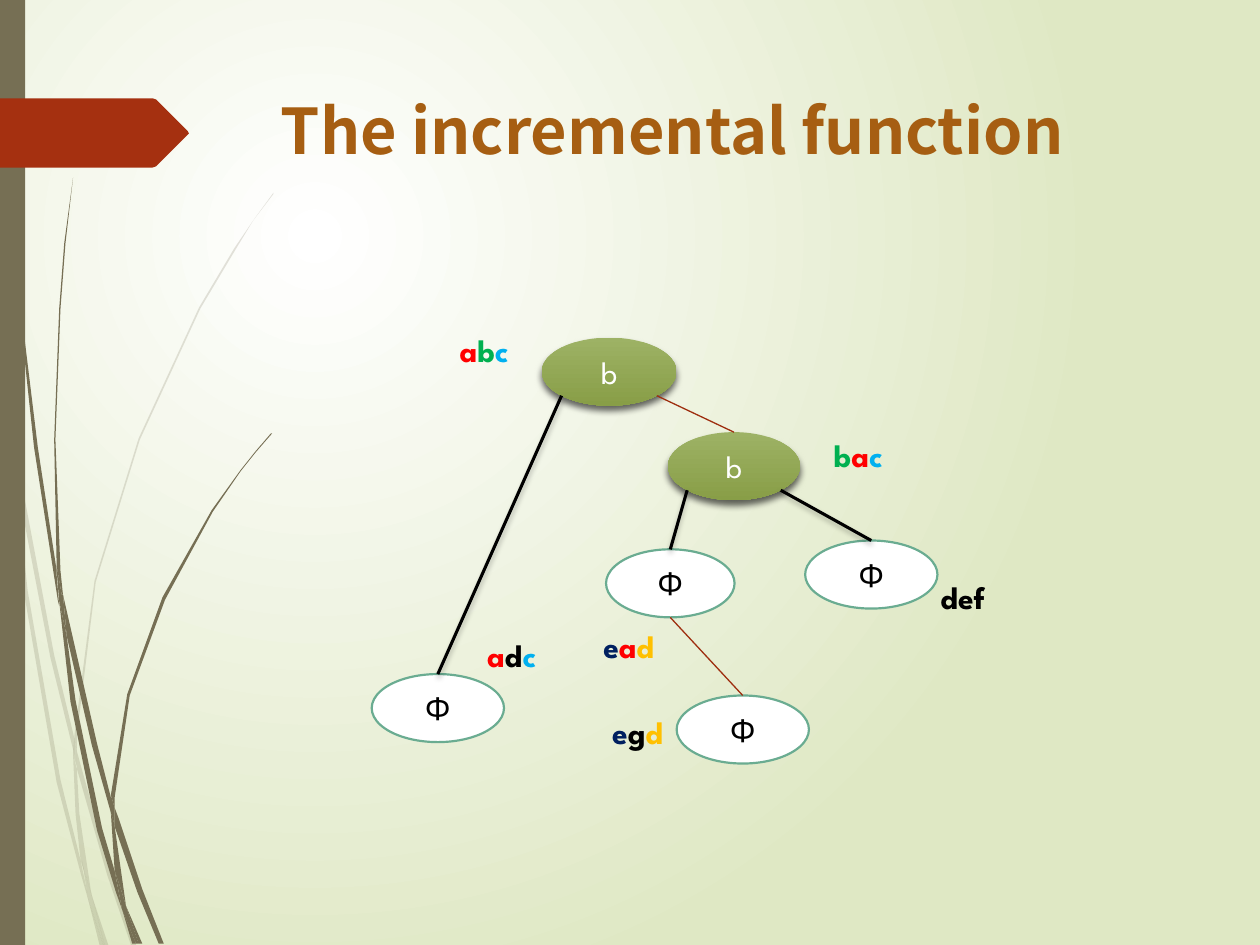
from math import sqrt
from lxml import etree
from pptx import Presentation
from pptx.dml.color import RGBColor as RGB
from pptx.enum.shapes import MSO_CONNECTOR, MSO_SHAPE as SHAPE
from pptx.enum.text import MSO_ANCHOR as ANCHOR, MSO_AUTO_SIZE as AUTO, PP_ALIGN as ALIGN
from pptx.oxml import parse_xml
from pptx.oxml.ns import nsdecls, qn
from pptx.util import Inches, Pt

BLACK, WHITE = RGB(0, 0, 0), RGB(255, 255, 255)
RED, GREEN, BLUE = RGB(0xFF, 0, 0), RGB(0, 0xB0, 0x50), RGB(0, 0xB0, 0xF0)
NAVY, GOLD = RGB(0, 0x20, 0x60), RGB(0xFF, 0xC0, 0)
OLIVE, RUST = RGB(0x76, 0x6F, 0x54), RGB(0xA5, 0x30, 0x10)
TITLE, LINK, TEAL = RGB(0xA6, 0x5E, 0x12), RGB(0x9E, 0x2E, 0x0F), RGB(0x6A, 0xAC, 0x91)
PALE = RGB(0xDF, 0xE8, 0xC4)
LEAF_TOP, LEAF_BOTTOM = RGB(0x9D, 0xB2, 0x65), RGB(0x88, 0x9E, 0x47)
HEAD_FONT, BODY_FONT = "Noto Sans CJK SC", "League Spartan"
NODE_H, LABEL_W, LABEL_H = 0.54, 0.78, 0.4

# Tree nodes: text, left, top, width
NODES = {
    "root": ("b", 4.3, 2.68, 1.07),
    "left": ("Φ", 2.95, 5.35, 1.05),
    "right": ("b", 5.3, 3.43, 1.05),
    "inner": ("Φ", 4.81, 4.36, 1.02),
    "outer": ("Φ", 6.39, 4.29, 1.05),
    "last": ("Φ", 5.37, 5.52, 1.05),
}
# Parent, side it leaves from (-1 left, 0 bottom, 1 right), child, heavy line
EDGES = [
    ("root", -1, "left", True), ("root", 1, "right", False),
    ("right", -1, "inner", True), ("right", 1, "outer", True),
    ("inner", 0, "last", False),
]
# Labels: left, top, coloured pieces
LABELS = [
    (3.45, 2.58, [("a", RED), ("b", GREEN), ("c", BLUE)]),
    (3.67, 5, [("a", RED), ("d", BLACK), ("c", BLUE)]),
    (4.6, 4.93, [("e", NAVY), ("a", RED), ("d", GOLD)]),
    (6.42, 3.41, [("b", GREEN), ("a", RED), ("c", BLUE)]),
    (4.67, 5.61, [("e", NAVY), ("g", BLACK), ("d", GOLD)]),
    (7.25, 4.54, [("def", BLACK)]),
]
# Grass blades: outlines in hundredths of an inch
FAINT_BLADES = [
    [(8, 350), (6, 322), (0, 282), (0, 299), (7, 344)],
    [(40, 522), (59, 599), (59, 586), (43, 520), (10, 345), (12, 376)],
    [(64, 607), (61, 596), (61, 610), (85, 694), (104, 750), (108, 750), (88, 692)],
    [(83, 750), (86, 750), (73, 711)],
    [(64, 683), (48, 619), (22, 469), (12, 376), (8, 350), (19, 470), (45, 621), (64, 693),
     (70, 714), (69, 707)],
    [(58, 599), (60, 646), (64, 683), (67, 692), (73, 711), (72, 706), (63, 646), (61, 610)],
    [(61, 584), (76, 462), (111, 349), (159, 245), (187, 198), (201, 175), (217, 154), (217, 153),
     (201, 175), (186, 197), (158, 244), (110, 348), (75, 461), (59, 584), (59, 586), (61, 596)],
    [(70, 714), (79, 750), (82, 750)],
    [(61, 608), (61, 596), (59, 586), (58, 599)],
    [(67, 692), (65, 683), (69, 707), (70, 714), (82, 750), (83, 750), (73, 711)],
]
SOLID_BLADES = [
    [(5, 110), (14, 233), (27, 355), (46, 477), (47, 481), (45, 457), (45, 453), (30, 355),
     (15, 232), (6, 109), (4, 48), (3, 0), (2, 0), (3, 48)],
    [(73, 592), (88, 645), (88, 633), (77, 590), (50, 472), (53, 505)],
    [(94, 649), (91, 641), (91, 656), (109, 708), (126, 749), (130, 749), (113, 706)],
    [(91, 691), (81, 657), (60, 556), (53, 505), (47, 477), (56, 557), (77, 659), (92, 708),
     (97, 722), (96, 717)],
    [(50, 472), (48, 453), (44, 349), (48, 245), (52, 193), (58, 141), (51, 193), (47, 245),
     (43, 349), (45, 449), (49, 472)],
    [(110, 749), (113, 749), (100, 719)],
    [(47, 477), (53, 505), (50, 472), (49, 472), (45, 449), (45, 453)],
    [(91, 633), (103, 552), (131, 476), (169, 406), (191, 374), (203, 359), (216, 344), (215, 344),
     (203, 358), (191, 373), (168, 405), (129, 474), (101, 551), (88, 631), (91, 641)],
    [(97, 722), (105, 749), (108, 749)],
    [(88, 645), (91, 691), (96, 706), (100, 719), (91, 656), (90, 651)],
    [(88, 645), (90, 651), (91, 656), (91, 641), (88, 631)],
    [(96, 706), (91, 691), (96, 717), (97, 722), (108, 749), (110, 749), (100, 719)],
]
BANNER = [(0, 78), (121, 78), (124, 79), (149, 104), (150, 106), (149, 107), (124, 132),
          (121, 133), (0, 133)]

prs = Presentation()
prs.slide_width, prs.slide_height = Inches(10), Inches(7.5)
s = prs.slides.add_slide(prs.slide_layouts[6])


def set_gradient(fill, first, last):
    fill.gradient()
    for stop, color in zip(fill.gradient_stops, (first, last)):
        stop.color.rgb = color


def add_shadow(effects, alpha, blur, dist):
    effects.append(parse_xml(
        f'<a:outerShdw {nsdecls("a")} blurRad="{Pt(blur)}" dist="{Pt(dist)}" dir="5400000" '
        f'rotWithShape="0"><a:srgbClr val="000000"><a:alpha val="{alpha * 1000}"/>'
        '</a:srgbClr></a:outerShdw>'))


def add_outline(points, color, alpha=None):
    builder = s.shapes.build_freeform(*points[0], scale=Inches(0.01))
    builder.add_line_segments(points[1:], close=True)
    sp = builder.convert_to_shape()
    paint(sp, color)
    if alpha:
        rgb = next(sp._element.spPr.iter(qn("a:srgbClr")))
        etree.SubElement(rgb, qn("a:alpha")).set("val", str(alpha * 1000))


def paint(sp, color):
    sp.fill.solid()
    sp.fill.fore_color.rgb = color
    sp.line.fill.background()
    sp.shadow.inherit = False


def add_text(x, y, w, h, pieces, font, size, align):
    tf = s.shapes.add_textbox(Inches(x), Inches(y), Inches(w), Inches(h)).text_frame
    tf.word_wrap = True
    p = tf.paragraphs[0]
    p.alignment = align
    p.font.name, p.font.size, p.font.bold = font, Pt(size), True
    for text, color in pieces:
        r = p.add_run()
        r.text = text
        r.font.color.rgb = color
    return tf


# Background: light spot in the upper left
set_gradient(s.background.fill, WHITE, PALE)
lin = next(s._element.iter(qn("a:lin")))
lin.getparent().replace(lin, parse_xml(
    f'<a:path {nsdecls("a")} path="circle">'
    '<a:fillToRect l="50000" t="50000" r="100000" b="100000"/></a:path>'))

# Grass, side bar and banner
for blade in FAINT_BLADES:
    add_outline(blade, OLIVE, 20)
for blade in SOLID_BLADES:
    add_outline(blade, OLIVE)
paint(s.shapes.add_shape(SHAPE.RECTANGLE, 0, 0, Inches(0.2), prs.slide_height), OLIVE)
add_outline(BANNER, RUST)

# Title
add_text(2.13, 0.68, 7.21, 1.4, [("The incremental function", TITLE)], HEAD_FONT, 36, ALIGN.LEFT)

# Nodes: green for b, white for Φ
for text, x, y, w in NODES.values():
    sp = s.shapes.add_shape(SHAPE.OVAL, Inches(x), Inches(y), Inches(w), Inches(NODE_H))
    green = text == "b"
    paint(sp, WHITE)
    if green:
        set_gradient(sp.fill, LEAF_TOP, LEAF_BOTTOM)
        sp.fill.gradient_angle = 270
        add_shadow(sp._element.spPr.find(qn("a:effectLst")), 60, 4, 3)
    else:
        sp.line.color.rgb, sp.line.width = TEAL, Pt(1.25)
    tf = sp.text_frame
    tf.vertical_anchor = ANCHOR.MIDDLE
    p = tf.paragraphs[0]
    p.text, p.alignment = text, ALIGN.CENTER
    p.font.name, p.font.size = BODY_FONT, Pt(18)
    p.font.color.rgb = WHITE if green else BLACK

# Edges run from the parent's lower rim to the child's top
for parent, side, child, heavy in EDGES:
    _, px, py, pw = NODES[parent]
    _, cx, cy, cw = NODES[child]
    drop = 1 / sqrt(2) if side else 1
    start = px + pw / 2 * (1 + side * drop), py + NODE_H / 2 * (1 + drop)
    end = cx + cw / 2, cy
    line = s.shapes.add_connector(MSO_CONNECTOR.STRAIGHT, *map(Inches, start + end))
    line.line.color.rgb = BLACK if heavy else LINK
    line.line.width = Pt(1.75 if heavy else 0.75)
    effects = etree.SubElement(line._element.spPr, qn("a:effectLst"))
    if heavy:
        add_shadow(effects, 25, 3, 2)

# Labels
for x, y, pieces in LABELS:
    tf = add_text(x, y, LABEL_W, LABEL_H, pieces, BODY_FONT, 18, ALIGN.CENTER)
    tf.auto_size = AUTO.SHAPE_TO_FIT_TEXT

prs.save("out.pptx")
